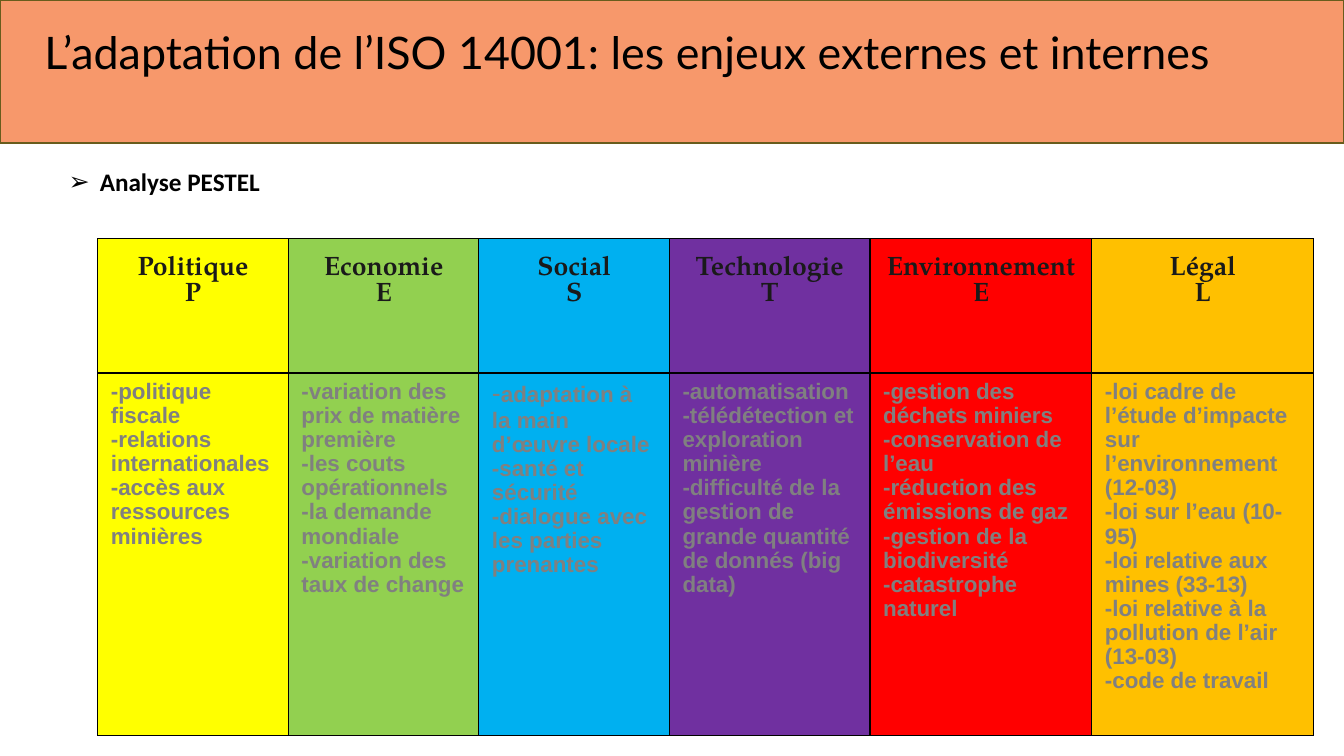
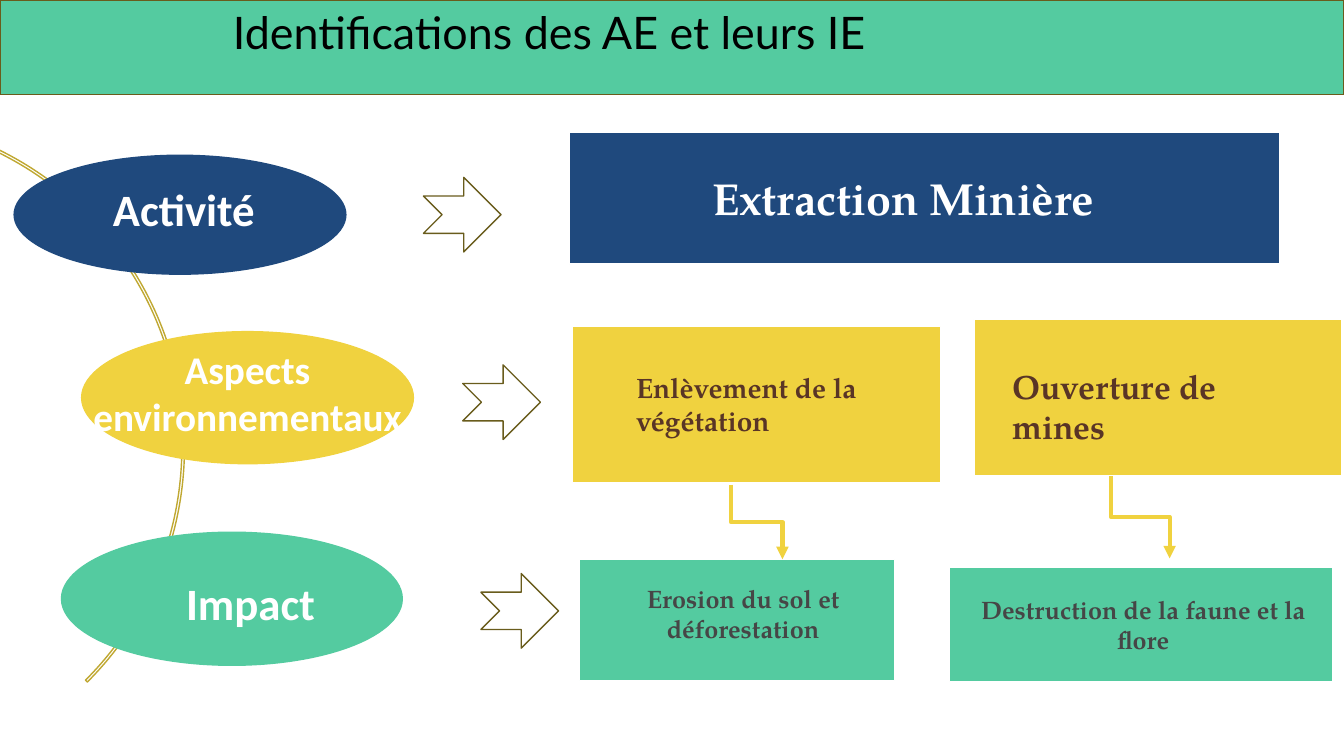
from lxml.etree import SubElement
from pptx import Presentation
from pptx.dml.color import RGBColor
from pptx.enum.shapes import MSO_CONNECTOR, MSO_SHAPE
from pptx.enum.text import MSO_ANCHOR, PP_ALIGN
from pptx.oxml.ns import qn
from pptx.util import Inches, Pt

# The grid: one column or row is a tenth of an inch
COLS, ROWS = 133.3, 75
STEP = Inches(0.1)

BLACK = RGBColor(0x00, 0x00, 0x00)
WHITE = RGBColor(0xFF, 0xFF, 0xFF)
INK = RGBColor(0x1A, 0x1A, 0x1A)
GREY = RGBColor(0x80, 0x80, 0x80)
SLATE = RGBColor(0x46, 0x46, 0x46)
BROWN = RGBColor(0x59, 0x35, 0x26)
OLIVE = RGBColor(0x69, 0x5C, 0x1C)
GOLD = RGBColor(0xC0, 0xA8, 0x32)
CORAL = RGBColor(0xF7, 0x98, 0x6B)
GREEN = RGBColor(0x54, 0xCB, 0xA0)
NAVY = RGBColor(0x1F, 0x49, 0x7D)
SUN = RGBColor(0xF0, 0xD2, 0x3F)

HEAD = dict(name="Lato", size=Pt(32), bold=False)
SERIF = "TeX Gyre Pagella"
SANS = "Calibri"
LEFT, MID = PP_ALIGN.LEFT, PP_ALIGN.CENTER


def write(frame, lines, ink, font, align=LEFT, space=None):
    """Fill a text frame, one paragraph a line, all in one format."""
    frame.word_wrap = True
    for i, line in enumerate(lines):
        para = frame.add_paragraph() if i else frame.paragraphs[0]
        para.alignment = align
        para.line_spacing = space
        run = para.add_run()
        run.text = line
        run.font.color.rgb = ink
        for key, value in font.items():
            setattr(run.font, key, value)


def draw(slide, kind, spot, fill, edge):
    """Add a flat shape at a spot of the grid."""
    shape = slide.shapes.add_shape(kind, *[int(n * STEP) for n in spot])
    shape.shadow.inherit = False
    if fill is None:
        shape.fill.background()
    else:
        shape.fill.solid()
        shape.fill.fore_color.rgb = fill
    shape.line.color.rgb = edge
    shape.line.width = Pt(1)
    return shape


deck = Presentation()
deck.slide_width = int(COLS * STEP)
deck.slide_height = int(ROWS * STEP)

# Layout, title, place of the title, height and colour of the band
PAGES = [
    (1, "L’adaptation de l’ISO 14001: les enjeux externes et internes",
     (3.4, 1.9, 129.9, 11.8), 14.2, CORAL),
    (5, "Identifications des AE et leurs IE",
     (22.1, 0, 93.3, 6.4), 9.4, GREEN),
]
for layout, words, spot, tall, tint in PAGES:
    slide = deck.slides.add_slide(deck.slide_layouts[layout])
    band = draw(slide, MSO_SHAPE.RECTANGLE, (0, 0, COLS, tall), tint, OLIVE)
    title = slide.shapes.title
    band._element.addnext(title._element)
    title.left, title.top, title.width, title.height = [
        int(n * STEP) for n in spot]
    title.text_frame.vertical_anchor = MSO_ANCHOR.TOP
    write(title.text_frame, [words], BLACK, HEAD)
first, second = deck.slides

# Slide 1: list heading and PESTEL table
body = first.placeholders[1]
body.left, body.top, body.width, body.height = [
    int(n * STEP) for n in (5.8, 16, 59.4, 4)]
write(body.text_frame, ["Analyse PESTEL"], BLACK,
      dict(name=SANS, size=Pt(18), bold=True))
para = body.text_frame.paragraphs[0]
para.space_before = Pt(0)
props = para._p.get_or_add_pPr()
props.set("marL", str(Inches(0.31)))
props.set("indent", str(-Inches(0.31)))
SubElement(props, qn("a:buChar"), char="➢")

# Heading, letter, width, colour, points
PESTEL = [
    ("Politique", "P", 18.9, "FFFF00",
     ["-politique fiscale", "-relations internationales",
      "-accès aux ressources minières"]),
    ("Economie", "E", 18.9, "92D050",
     ["-variation des prix de matière première",
      "-les couts opérationnels", "-la demande mondiale",
      "-variation des taux de change"]),
    ("Social", "S", 18.9, "00B0F0",
     ["-", "-santé et sécurité", "-dialogue avec les parties prenantes"]),
    ("Technologie", "T", 19.9, "7030A0",
     ["-automatisation", "-télédétection et exploration minière",
      "-difficulté de la gestion de grande quantité de donnés (big data)"]),
    ("Environnement", "E", 22, "FF0000",
     ["-gestion des déchets miniers", "-conservation de l’eau",
      "-réduction des émissions de gaz", "-gestion de la biodiversité",
      "-catastrophe naturel"]),
    ("Légal", "L", 22, "FFC000",
     ["-loi cadre de l’étude d’impacte sur l’environnement", "(12-03)",
      "-loi sur l’eau (10-95)", "-loi relative aux mines (33-13)",
      "-loi relative à la pollution de l’air (13-03)",
      "-code de travail"]),
]
TOP = dict(name=SERIF, size=Pt(19), bold=True)
POINT = dict(name="Arial", size=Pt(16), bold=True)

wide = sum(part[2] for part in PESTEL)
grid = first.shapes.add_table(2, len(PESTEL), *[
    int(n * STEP) for n in (9.7, 23.7, wide, 49.3)]).table
for row, tall in zip(grid.rows, (13.3, 36)):
    row.height = int(tall * STEP)
for col, (name, letter, width, tint, points) in enumerate(PESTEL):
    grid.columns[col].width = int(width * STEP)
    top, low = grid.cell(0, col), grid.cell(1, col)
    write(top.text_frame, [name, letter], INK, TOP, MID, Pt(18.6))
    write(low.text_frame, points, GREY, POINT, LEFT, 0.97)
    top.vertical_anchor = MSO_ANCHOR.MIDDLE
    for cell, foot in ((top, 0.53), (low, 0.07)):
        cell.margin_left = cell.margin_right = Inches(0.13)
        cell.margin_top, cell.margin_bottom = Inches(0.07), Inches(foot)
        edges = cell._tc.get_or_add_tcPr()
        for side in ("lnL", "lnR", "lnT", "lnB"):
            line = SubElement(edges, qn("a:" + side), w=str(Pt(1)))
            paint = SubElement(line, qn("a:solidFill"))
            SubElement(paint, qn("a:srgbClr"), val=str(BLACK))
        cell.fill.solid()
        cell.fill.fore_color.rgb = RGBColor.from_string(tint)

# The social column opens with a larger, light dash
para = grid.cell(1, 2).text_frame.paragraphs[0]
dash, rest = para.runs[0], para.add_run()
dash.font.size, dash.font.bold = Pt(19), False
rest.text = "adaptation à la main d’œuvre locale"
rest.font.color.rgb = GREY
for key, value in POINT.items():
    setattr(rest.font, key, value)

# Slide 2: arc, steps and boxes
arc = draw(second, MSO_SHAPE.BLOCK_ARC, (-47.5, 11.5, 65.8, 65.8), None, GOLD)
for i, value in enumerate((165.47, 27, 0.004)):
    arc.adjustments[i] = value

STEPS = [
    ((1.4, 15.4, 32.9, 11.8), NAVY, (42, 17.6)),
    ((8.1, 32.9, 32.9, 13.1), SUN, (45.9, 36.2)),
    ((6.1, 52.8, 33.8, 13.2), GREEN, (47.7, 56.9)),
]
for spot, tint, tip in STEPS:
    draw(second, MSO_SHAPE.OVAL, spot, tint, tint)
    draw(second, MSO_SHAPE.NOTCHED_RIGHT_ARROW, (*tip, 7.7, 7.4), None, OLIVE)

BOXES = [
    ((56.5, 13.1, 70.4, 13.1), NAVY),
    ((56.8, 32.4, 36.5, 15.5), SUN),
    ((96.6, 31.7, 36.5, 15.5), SUN),
    ((57.5, 55.5, 31.2, 12), GREEN),
    ((94.2, 56.3, 38, 11.3), GREEN),
]
for spot, tint in BOXES:
    draw(second, MSO_SHAPE.RECTANGLE, spot, tint, WHITE)

LABELS = [
    ("Activité", (-4.5, 17.5, 45.5, 6.4), SANS, 32, WHITE, MID),
    ("Aspects environnementaux", (7.9, 33.7, 33.3, 10.4),
     SANS, 28, WHITE, MID),
    ("Impact", (2.1, 56.6, 45.5, 6.4), SANS, 32, WHITE, MID),
    ("Extraction Minière", (66.7, 16.4, 45.8, 6.4), SERIF, 32, WHITE, MID),
    ("Enlèvement de la végétation", (62.1, 36.2, 31.2, 7.7),
     SERIF, 20, BROWN, LEFT),
    ("Ouverture de mines", (99.4, 35.7, 32.1, 9.1), SERIF, 24, BROWN, LEFT),
    ("Erosion du sol et déforestation", (56.8, 57.3, 33.8, 7.1),
     SERIF, 18, SLATE, MID),
    ("Destruction de la faune et la flore", (93.6, 58.4, 39.6, 7.1),
     SERIF, 18, SLATE, MID),
]
for words, spot, face, size, ink, align in LABELS:
    label = second.shapes.add_textbox(*[int(n * STEP) for n in spot])
    label.text_frame.vertical_anchor = MSO_ANCHOR.MIDDLE
    write(label.text_frame, [words], ink,
          dict(name=face, size=Pt(size), bold=True), align)

# Elbows leave downwards: laid out sideways, then given a quarter turn
ELBOWS = [(72.5, 48.1, 77.6, 55.5), (110.2, 47.2, 116, 55.4)]
for x1, y1, x2, y2 in ELBOWS:
    midx, midy = (x1 + x2) / 2, (y1 + y2) / 2
    run, drop = (x2 - x1) / 2, (y2 - y1) / 2
    ends = (midx + drop, midy - run, midx - drop, midy + run)
    elbow = second.shapes.add_connector(
        MSO_CONNECTOR.ELBOW, *[int(n * STEP) for n in ends])
    elbow.line.color.rgb = SUN
    elbow.line.width = Pt(3)
    props = elbow._element.spPr
    props.find(qn("a:xfrm")).set("rot", str(270 * 60000))
    SubElement(props.find(qn("a:ln")), qn("a:tailEnd"), type="triangle")
    SubElement(props, qn("a:effectLst"))

deck.save("out.pptx")
